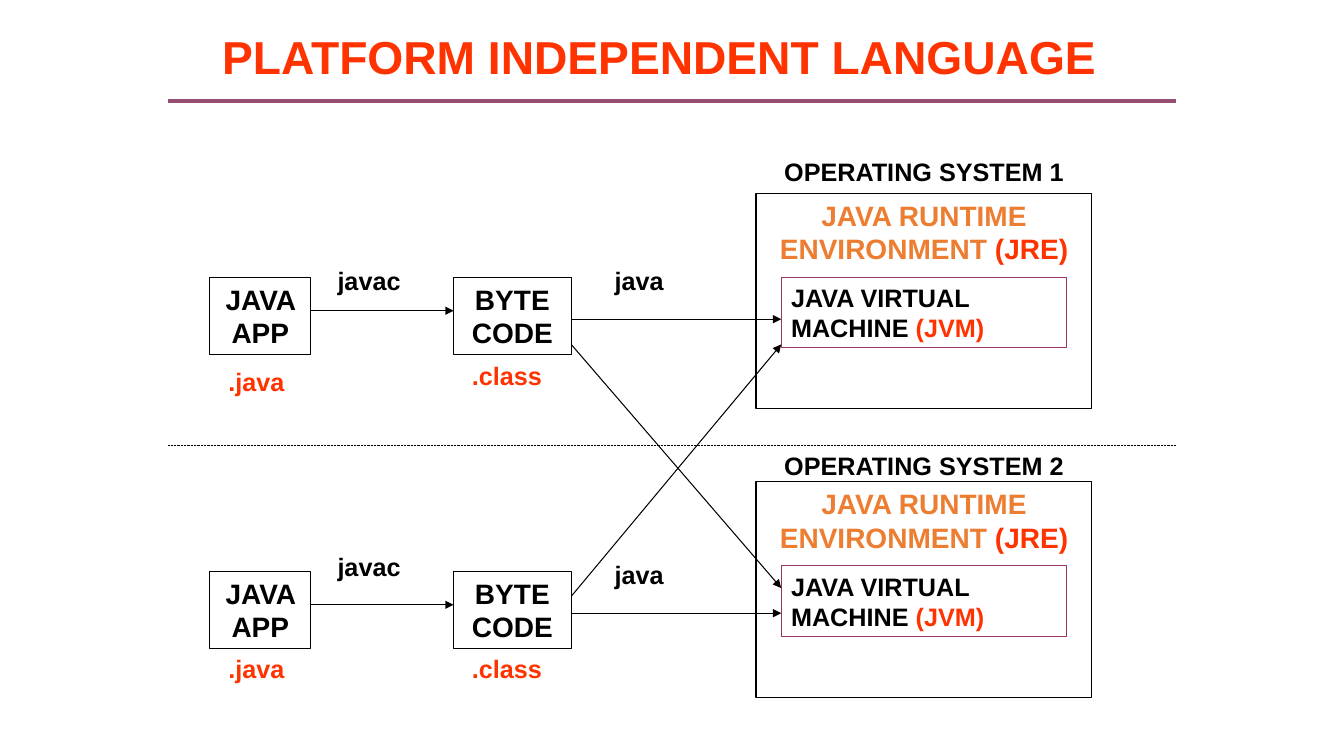
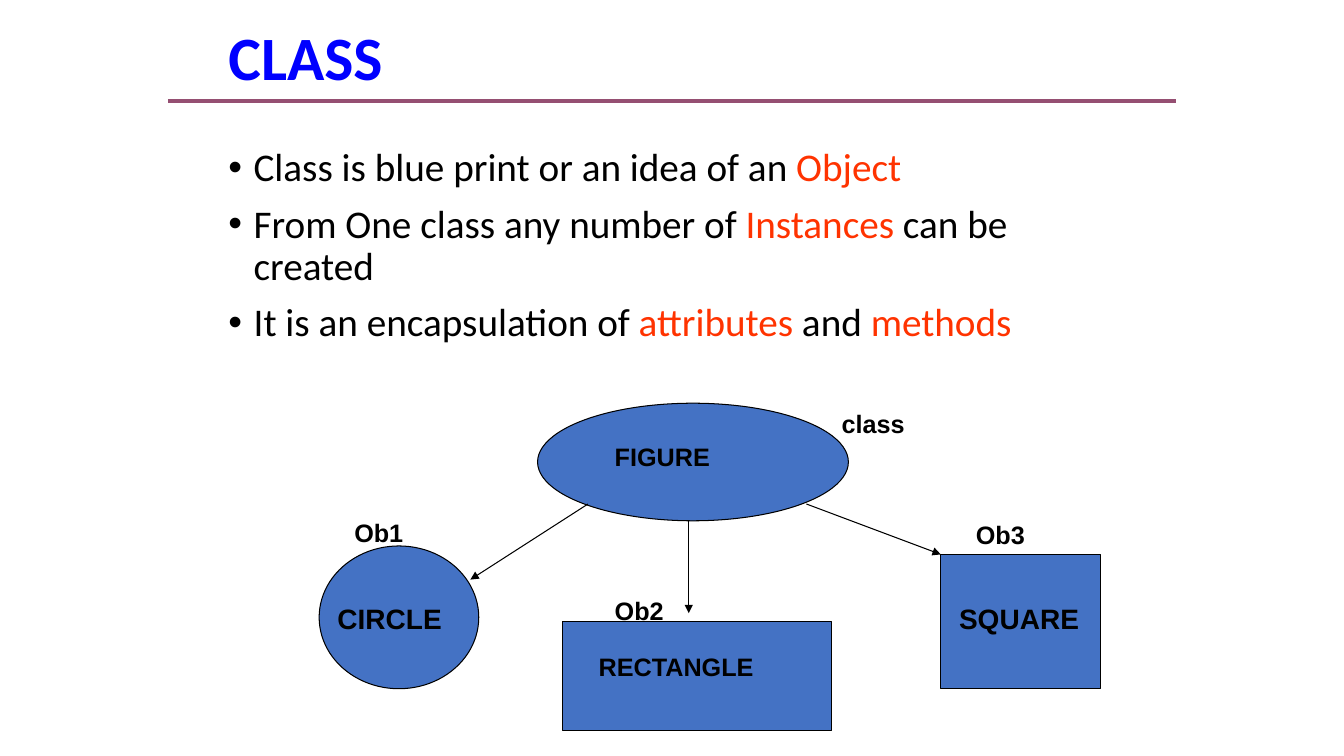
from dataclasses import dataclass

from lxml.etree import SubElement
from pptx import Presentation
from pptx.dml.color import RGBColor
from pptx.enum.dml import MSO_LINE
from pptx.enum.shapes import MSO_CONNECTOR, MSO_SHAPE
from pptx.enum.text import MSO_ANCHOR, MSO_AUTO_SIZE, PP_ALIGN
from pptx.oxml.ns import qn
from pptx.shapes.autoshape import Shape
from pptx.slide import Slide
from pptx.text.text import TextFrame
from pptx.util import Emu, Pt

EMU_PER_PX = 9525
SLIDE_WIDTH, SLIDE_HEIGHT = 1280, 720
TITLE_ONLY, TITLE_AND_BODY = 5, 1
LEFT, CENTER = PP_ALIGN.LEFT, PP_ALIGN.CENTER
RECTANGLE, ELLIPSE = MSO_SHAPE.RECTANGLE, MSO_SHAPE.OVAL

COLORS = {
    "black": "000000",
    "red": "FF3300",
    "orange": "ED7D31",
    "blue": "0000FF",
    "plum": "993366",
    "rule": "954F72",
    "figure": "4472C4",
}


@dataclass(frozen=True)
class Span:
    text: str
    color: str = "black"


@dataclass(frozen=True)
class Style:
    size: int = 18
    font: str = "Arial"
    bold: bool = True
    align: PP_ALIGN = LEFT


@dataclass(frozen=True)
class Area:
    left: int
    top: int
    width: int
    height: int


@dataclass(frozen=True)
class Platform:
    """One operating system, with the rows that its parts stand on."""
    number: int
    pipeline: int
    runtime: int
    javac: int
    source_suffix: int
    class_suffix: int


@dataclass(frozen=True)
class Figure:
    geometry: MSO_SHAPE
    area: Area
    name: Span
    name_area: Area
    style: Style


@dataclass(frozen=True)
class Arrow:
    start: tuple[int, int]
    end: tuple[int, int]


LABEL = Style()
CENTERED_LABEL = Style(align=CENTER)
LARGE_LABEL = Style(20)
BOX = Style(20, align=CENTER)
BULLET = Style(28, "Calibri", False)

PLATFORMS = (
    Platform(1, 264, 184, 248, 344, 338),
    Platform(2, 544, 459, 520, 617, 617),
)
CROSS_ARROWS = (
    Arrow((544, 328), (744, 560)),
    Arrow((544, 568), (744, 328)),
)

BULLETS = (
    (Span("Class is blue print or an idea of an "), Span("Object", "red")),
    (Span("From One class any number of "), Span("Instances", "red"),
     Span(" can be created")),
    (Span("It is an encapsulation of "), Span("attributes", "red"),
     Span(" and "), Span("methods", "red")),
)
FIGURES = (
    Figure(ELLIPSE, Area(512, 384, 296, 112), Span("FIGURE"),
           Area(576, 416, 160, 38), LABEL),
    Figure(ELLIPSE, Area(304, 520, 152, 136), Span("CIRCLE"),
           Area(312, 568, 136, 42), LARGE_LABEL),
    Figure(RECTANGLE, Area(536, 592, 256, 104), Span("RECTANGLE"),
           Area(520, 616, 248, 38), CENTERED_LABEL),
    Figure(RECTANGLE, Area(896, 528, 152, 128), Span("SQUARE"),
           Area(904, 568, 144, 42), LARGE_LABEL),
)
INSTANCE_ARROWS = (
    Arrow((560, 480), (448, 552)),
    Arrow((656, 496), (656, 584)),
    Arrow((768, 480), (896, 528)),
)
FIGURE_TAGS = (
    (Span("Ob1"), Area(328, 488, 72, 38)),
    (Span("Ob2"), Area(576, 562, 72, 38)),
    (Span("Ob3"), Area(920, 490, 72, 38)),
    (Span("class"), Area(792, 384, 112, 38)),
)


def px(length: int) -> Emu:
    return Emu(length * EMU_PER_PX)


def rgb(color: str) -> RGBColor:
    return RGBColor.from_string(COLORS[color])


def bounds(area: Area) -> tuple[Emu, Emu, Emu, Emu]:
    return px(area.left), px(area.top), px(area.width), px(area.height)


def place(shape: Shape, area: Area) -> None:
    shape.left, shape.top, shape.width, shape.height = bounds(area)


def write(frame: TextFrame, lines: tuple[tuple[Span, ...], ...], style: Style) -> None:
    """Fill the frame with one paragraph for each line of spans."""
    frame.word_wrap = True
    frame.auto_size = MSO_AUTO_SIZE.NONE
    frame.text = "\n".join(line[0].text for line in lines)
    for paragraph, line in zip(frame.paragraphs, lines):
        paragraph.alignment = style.align
        for span in line[1:]:
            paragraph.add_run().text = span.text
        for run, span in zip(paragraph.runs, line):
            run.font.name = style.font
            run.font.size = Pt(style.size)
            run.font.bold = style.bold
            run.font.color.rgb = rgb(span.color)


def add_label(slide: Slide, span: Span, area: Area, style: Style = LABEL) -> None:
    label = slide.shapes.add_textbox(*bounds(area))
    write(label.text_frame, ((span,),), style)


def add_outlined(slide: Slide, geometry: MSO_SHAPE, area: Area,
                 line: str = "black", fill: str | None = None) -> Shape:
    shape = slide.shapes.add_shape(geometry, *bounds(area))
    shape.shadow.inherit = False
    if fill:
        shape.fill.solid()
        shape.fill.fore_color.rgb = rgb(fill)
    else:
        shape.fill.background()
    shape.line.color.rgb = rgb(line)
    shape.line.width = Pt(0.75)
    return shape


def add_box(slide: Slide, area: Area, spans: tuple[Span, ...],
            style: Style = BOX, line: str = "black") -> None:
    box = add_outlined(slide, RECTANGLE, area, line)
    box.text_frame.vertical_anchor = MSO_ANCHOR.TOP
    write(box.text_frame, (spans,), style)


def add_line(slide: Slide, start: tuple[int, int], end: tuple[int, int],
             color: str = "black", weight: float = 0.75,
             dash: MSO_LINE | None = None, arrow: bool = False) -> None:
    connector = slide.shapes.add_connector(
        MSO_CONNECTOR.STRAIGHT, *map(px, start + end))
    connector.line.color.rgb = rgb(color)
    connector.line.width = Pt(weight)
    if dash is not None:
        connector.line.dash_style = dash
    properties = connector.element.spPr
    if arrow:
        SubElement(properties.find(qn("a:ln")), qn("a:tailEnd"), type="triangle")
    SubElement(properties, qn("a:effectLst"))


def add_arrows(slide: Slide, arrows: tuple[Arrow, ...]) -> None:
    for arrow in arrows:
        add_line(slide, arrow.start, arrow.end, arrow=True)


def add_titled_slide(deck: Presentation, layout: int, heading: Span,
                     area: Area, style: Style) -> Slide:
    slide = deck.slides.add_slide(deck.slide_layouts[layout])
    title = slide.shapes.title
    place(title, area)
    title.text_frame.vertical_anchor = MSO_ANCHOR.MIDDLE
    write(title.text_frame, ((heading,),), style)
    title.text_frame.paragraphs[0].line_spacing = 0.9
    add_line(slide, (160, 96), (1120, 96), "rule", 3)
    return slide


def add_bullets(slide: Slide) -> None:
    body = slide.placeholders[1]
    place(body, Area(208, 136, 864, 304))
    write(body.text_frame, BULLETS, BULLET)
    hanging = px(24)
    for paragraph in body.text_frame.paragraphs:
        paragraph.line_spacing = 0.9
        paragraph.space_before = Pt(10)
        properties = paragraph._p.get_or_add_pPr()
        properties.set("marL", str(hanging))
        properties.set("indent", str(-hanging))


def add_platform(slide: Slide, platform: Platform) -> None:
    """Draw the way from source to byte code to virtual machine."""
    top = platform.pipeline
    add_label(slide, Span(f"OPERATING SYSTEM {platform.number}"),
              Area(720, top - 120, 320, 38), CENTERED_LABEL)
    add_box(slide, Area(720, platform.runtime, 320, 205),
            (Span("JAVA RUNTIME ENVIRONMENT ", "orange"), Span("(JRE)", "red")))
    add_box(slide, Area(744, platform.runtime + 80, 272, 67),
            (Span("JAVA VIRTUAL MACHINE "), Span("(JVM)", "red")), LABEL, "plum")
    add_box(slide, Area(200, top, 96, 74), (Span("JAVA APP"),))
    add_box(slide, Area(432, top, 112, 74), (Span("BYTE CODE"),))
    add_arrows(slide, (Arrow((296, top + 32), (432, top + 32)),
                       Arrow((544, top + 40), (744, top + 40))))
    add_label(slide, Span("javac"), Area(312, platform.javac, 112, 38))
    add_label(slide, Span("java"), Area(576, top - 16, 112, 38))
    add_label(slide, Span(".java", "red"), Area(208, platform.source_suffix, 80, 38))
    add_label(slide, Span(".class", "red"), Area(440, platform.class_suffix, 96, 38))


def build_platform_slide(deck: Presentation) -> None:
    slide = add_titled_slide(
        deck, TITLE_ONLY, Span("PLATFORM INDEPENDENT LANGUAGE", "red"),
        Area(160, 26, 936, 62), Style(33, align=CENTER))
    for platform in PLATFORMS:
        add_platform(slide, platform)
    add_arrows(slide, CROSS_ARROWS)
    add_line(slide, (160, 424), (1120, 424), weight=0.5, dash=MSO_LINE.ROUND_DOT)


def build_class_slide(deck: Presentation) -> None:
    slide = add_titled_slide(
        deck, TITLE_AND_BODY, Span("CLASS", "blue"),
        Area(208, 16, 864, 83), Style(44, "Calibri"))
    add_bullets(slide)
    for figure in FIGURES:
        add_outlined(slide, figure.geometry, figure.area, fill="figure")
        add_label(slide, figure.name, figure.name_area, figure.style)
    add_arrows(slide, INSTANCE_ARROWS)
    for tag, area in FIGURE_TAGS:
        add_label(slide, tag, area)


def main() -> None:
    deck = Presentation()
    deck.slide_width, deck.slide_height = px(SLIDE_WIDTH), px(SLIDE_HEIGHT)
    build_platform_slide(deck)
    build_class_slide(deck)
    deck.save("out.pptx")


if __name__ == "__main__":
    main()
